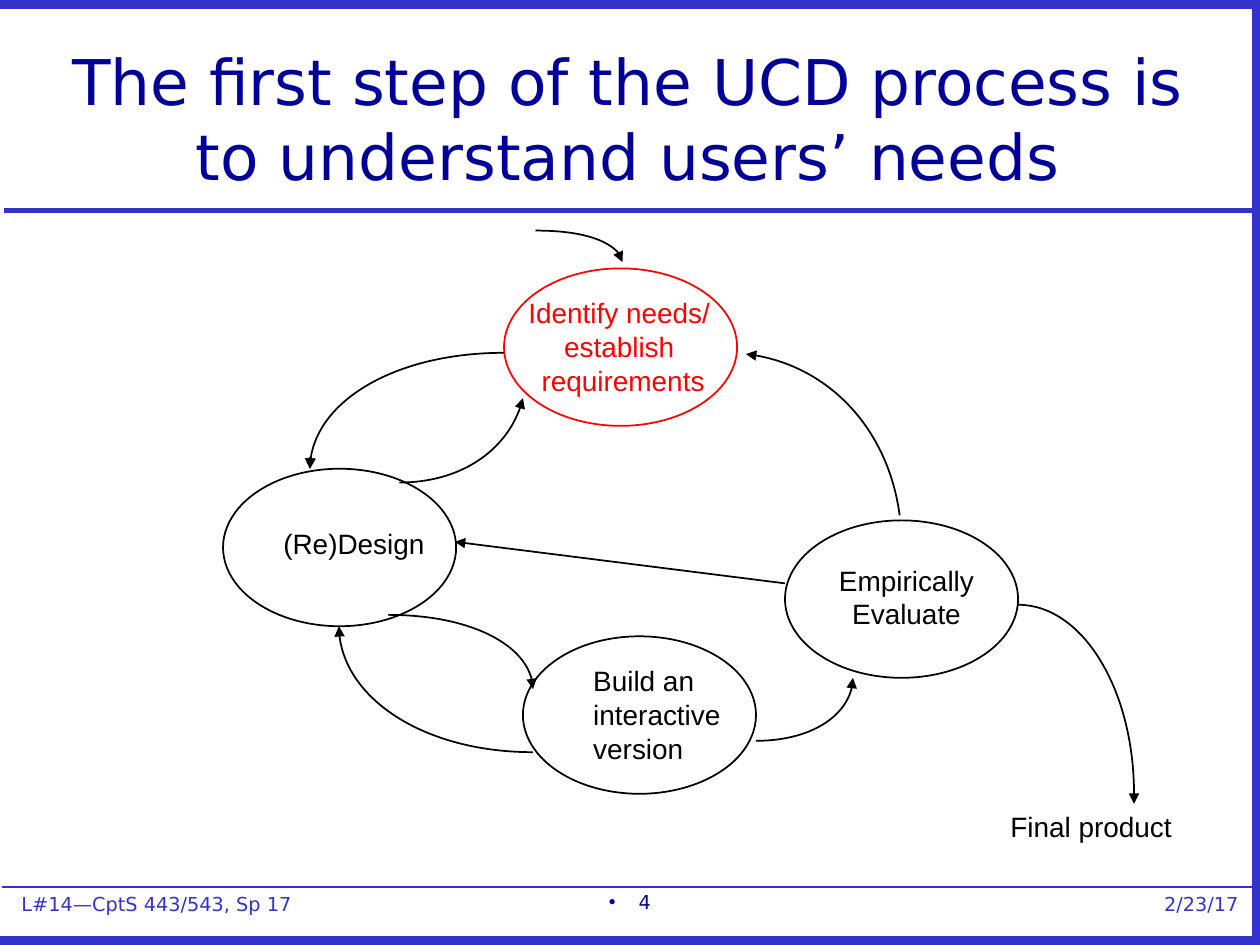
import pptx
import pptx.dml.color
import pptx.enum.shapes
import pptx.enum.text
import pptx.oxml
import pptx.oxml.ns
import pptx.util
from pptx.util import Pt

ALIGN = pptx.enum.text.PP_ALIGN
ANCHOR = pptx.enum.text.MSO_ANCHOR
AUTO_SIZE = pptx.enum.text.MSO_AUTO_SIZE
SHAPE = pptx.enum.shapes.MSO_SHAPE
STRAIGHT = pptx.enum.shapes.MSO_CONNECTOR.STRAIGHT

# Content: all lengths in points
BLUE, NAVY, BLACK, RED, WHITE = "3333CC", "000099", "000000", "FF0000", "FFFFFF"
HEADING = "The first step of the UCD process is to understand users’ needs"
HEADING_BOX = (23.76, 20.16, 670.32, 94.32)
PAGE_NUMBER, PAGE_NUMBER_BOX = "4", (18, 505.44, 684, 12.24)

FOOTERS = [  # text, box, alignment
    ("L#14—CptS 443/543, Sp 17", (12.24, 509.76, 180, 12.96), ALIGN.LEFT),
    ("2/23/17", (540, 509.76, 167.76, 12.96), ALIGN.RIGHT),
]
RULES = [  # start, end, weight
    ((2.16, 120.24), (717.84, 120.24), 3),
    ((0, 2.16), (718.56, 2.16), 6),
    ((0, 537.84), (718.56, 537.84), 6),
    ((718.2, 540), (718.2, 0), 6),
    ((1.44, 506.88), (716.4, 506.88), 1),
]
STAGE_SIZE = (133.2, 90)
STAGES = [  # left, top, outline colour
    (288, 153.36, RED),
    (127.44, 267.84, BLACK),
    (448.56, 297.36, BLACK),
    (298.8, 363.6, BLACK),
]
LABELS = [  # lines, box, alignment, colour, wrap
    (["Empirically", "Evaluate"], (472.32, 318.24, 91.44, 46.08), ALIGN.CENTER, BLACK, False),
    (["(Re)Design"], (154.8, 297.36, 95.04, 26.64), ALIGN.LEFT, BLACK, False),
    (["Identify needs/ ", "establish ", "requirements"],
     (294.48, 165.6, 123.12, 64.8), ALIGN.CENTER, RED, False),
    (["Build an", "interactive", "version"],
     (331.92, 375.84, 92.88, 65.52), ALIGN.LEFT, BLACK, True),
    (["Final product"], (570.24, 459.36, 106.56, 26.64), ALIGN.LEFT, BLACK, False),
]
CURVES = [  # start, two control points, end, arrowhead
    ((514.08, 294.48), (507.6, 245.52), (471.6, 207.36), (426.24, 202.32), True),
    ((288, 201.6), (226.8, 201.6), (177.12, 231.12), (177.12, 267.84), True),
    ((228.24, 275.76), (262.8, 275.76), (292.32, 255.6), (298.8, 227.52), True),
    ((304.56, 429.84), (243.36, 429.84), (193.68, 397.44), (193.68, 357.84), True),
    ((221.76, 351.36), (267.5, 351.36), (304.56, 370.08), (304.56, 393.84), True),
    ((432, 423.36), (462.24, 423.36), (487.44, 407.52), (487.44, 387.36), True),
    ((581.76, 345.6), (618.48, 345.6), (648, 393.84), (648, 453.6), False),
    ((306, 131.76), (333.36, 131.76), (355.68, 140.4), (355.68, 149.76), True),
]
ARROWS = [  # start, end
    ((648, 447.84), (648, 459.36)),
    ((177.12, 261.36), (177.12, 267.84)),
    ((448.56, 333.36), (259.92, 309.6)),
]


def color(hex_code):
    return pptx.dml.color.RGBColor.from_string(hex_code)


def element(markup):
    tag = markup.split()[0]
    ns = pptx.oxml.ns.nsdecls("a")
    return pptx.oxml.parse_xml(f"<{tag} {ns}{markup[len(tag):]}/>")


def assign(target, values):
    for key, value in values.items():
        setattr(target, key, value)


def style_line(shape, hex_code, weight=1, arrow=False):
    shape.line.color.rgb = color(hex_code)
    shape.line.width = Pt(weight)
    if arrow:
        shape.line._get_or_add_ln().append(element('a:tailEnd type="triangle"'))


def write(shape, lines, size, font, hex_code, align, frame_format):
    frame = shape.text_frame
    frame.text = "\n".join(lines)
    assign(frame, frame_format)
    for paragraph in frame.paragraphs:
        paragraph.alignment = align
        for run in paragraph.runs:
            assign(run.font, {"size": Pt(size), "name": font})
            run.font.color.rgb = color(hex_code)


def draw_line(start, end, hex_code, weight=1, arrow=False):
    line = slide.shapes.add_connector(STRAIGHT, *map(Pt, start + end))
    style_line(line, hex_code, weight, arrow)
    line._element.spPr.append(element("a:effectLst"))


def draw_curve(points, arrow):
    (x, y), *rest = [tuple(map(Pt, point)) for point in points]
    builder = slide.shapes.build_freeform(x, y)
    builder.add_line_segments(rest, close=False)
    curve = builder.convert_to_shape()
    curve.shadow.inherit = False
    curve.fill.background()
    style_line(curve, BLACK, arrow=arrow)
    # Turn the three segments into one cubic curve
    segments = list(curve._element.iter(pptx.oxml.ns.qn("a:lnTo")))
    outline = segments[0].getparent()
    cubic = element("a:cubicBezTo")
    for segment in segments:
        cubic.append(segment[0])
        outline.remove(segment)
    outline.append(cubic)


presentation = pptx.Presentation()
assign(presentation, {"slide_width": Pt(720), "slide_height": Pt(540)})
slide = presentation.slides.add_slide(presentation.slide_layouts[5])

# Footers and rules
margins = ("margin_left", "margin_top", "margin_right", "margin_bottom")
for text, box, align in FOOTERS:
    footer = slide.shapes.add_shape(SHAPE.RECTANGLE, *map(Pt, box))
    footer.shadow.inherit = False
    footer.fill.solid()
    footer.fill.fore_color.rgb = color(WHITE)
    footer.line.fill.background()
    write(footer, [text], 11, "DejaVu Sans", BLUE, align,
          {**dict.fromkeys(margins, 0), "vertical_anchor": ANCHOR.TOP, "word_wrap": True})
for start, end, weight in RULES:
    draw_line(start, end, BLUE, weight)

# Page number with its bullet
page = slide.shapes.add_textbox(*map(Pt, PAGE_NUMBER_BOX))
write(page, [PAGE_NUMBER], 11, "DejaVu Sans", NAVY, ALIGN.CENTER, {"word_wrap": True})
page_properties = page.text_frame.paragraphs[0]._p.get_or_add_pPr()
page_properties.set("marL", str(Pt(17)))
page_properties.set("indent", str(-Pt(17)))
page_properties.append(element('a:buFont typeface="Arial"'))
page_properties.append(element('a:buChar char="•"'))

# Title
heading = slide.shapes.title
assign(heading, dict(zip(("left", "top", "width", "height"), map(Pt, HEADING_BOX))))
write(heading, [HEADING], 36, "DejaVu Sans", NAVY, ALIGN.CENTER,
      {"vertical_anchor": ANCHOR.MIDDLE, "word_wrap": True, "auto_size": AUTO_SIZE.NONE})

# Process stages and their labels
for left, top, outline_color in STAGES:
    stage = slide.shapes.add_shape(SHAPE.OVAL, *map(Pt, (left, top) + STAGE_SIZE))
    stage.shadow.inherit = False
    stage.fill.background()
    style_line(stage, outline_color)
for lines, box, align, hex_code, wrap in LABELS:
    label = slide.shapes.add_textbox(*map(Pt, box))
    write(label, lines, 16, "Arial", hex_code, align,
          {"word_wrap": wrap, "auto_size": AUTO_SIZE.SHAPE_TO_FIT_TEXT})

# Flow between stages
for *points, arrow in CURVES:
    draw_curve(points, arrow)
for start, end in ARROWS:
    draw_line(start, end, BLACK, arrow=True)

presentation.save("out.pptx")
